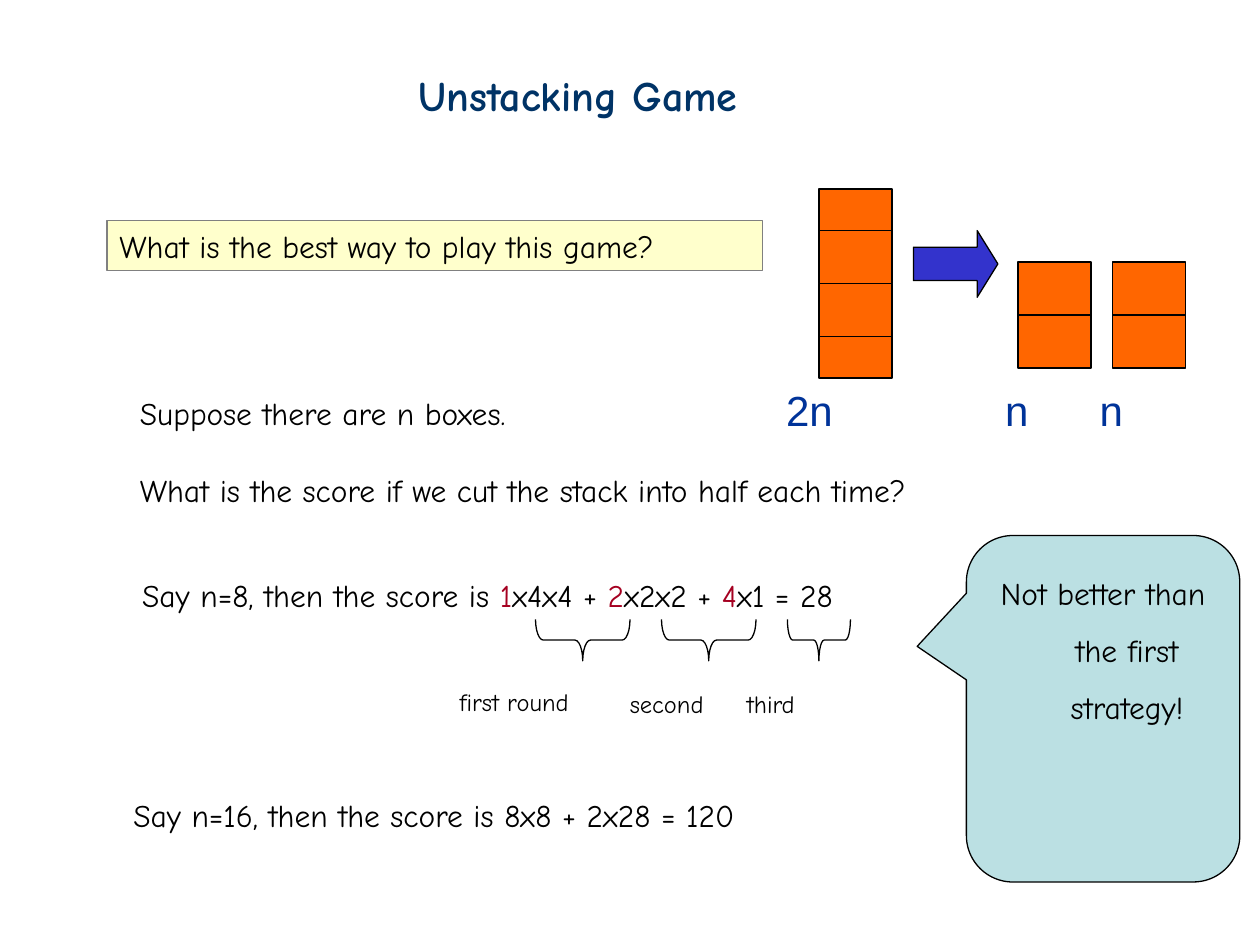
from lxml import etree
from pptx import Presentation
from pptx.dml.color import RGBColor
from pptx.enum import shapes, text
from pptx.util import Inches, Pt

COMIC, ARIAL = "Comic Neue", "Arial"
BLACK, RED, BLUE, ORANGE = "000000", "A50021", "003399", "FF6600"

TITLE = "Unstacking Game"
ASK = "What is the best way to play this game?"
BODY = ["Suppose there are n boxes.",
        "What is the score if we cut the stack into half each time?"]
SCORE = [("Say n=8, then the score is ", BLACK), ("1", RED), ("x4x4 + ", BLACK),
         ("2", RED), ("x2x2 + ", BLACK), ("4", RED), ("x1 = 28", BLACK)]
LAST = "Say n=16, then the score is 8x8 + 2x28 = 120"
NOTE = "Not better than the first strategy!"
SIZES = [("2n", 6.14, 3, 1.32, 0.5), ("n", 7.88, 3, 1.13, 0.5),
         ("n", 8.63, 3, 1.13, 0.5)]
ROUNDS = [("first round", 3.55, 5.4, 1.82, 0.34),
          ("second", 4.9, 5.42, 1.54, 0.34),
          ("third", 5.83, 5.42, 1.33, 0.34)]
BRACES = [(4.25, 0.75), (5.25, 0.75), (6.25, 0.5)]
STACKS = [(6.5, [2.58, 1.5, 1.83, 2.25]), (8.08, [2.08, 2.5]),
          (8.83, [2.08, 2.5])]
WIDE, HIGH = 0.58, 0.42
DEEP, MID = 0.33, 5.08

deck = Presentation()
deck.slide_width, deck.slide_height = Inches(10), Inches(7.5)
slide = deck.slides.add_slide(deck.slide_layouts[1])


def tint(code):
    return RGBColor.from_string(code)


def place(item, left, top, width, height):
    item.left, item.top = Inches(left), Inches(top)
    item.width, item.height = Inches(width), Inches(height)


def write(item, lines, size=18, font=COMIC, color=BLACK, bold=False,
          align=text.PP_ALIGN.LEFT, space=1.0, gap=0):
    frame = item.text_frame
    frame.word_wrap = True
    frame.auto_size = text.MSO_AUTO_SIZE.NONE
    frame.vertical_anchor = text.MSO_ANCHOR.TOP
    for i, line in enumerate([lines] if isinstance(lines, str) else lines):
        para = frame.add_paragraph() if i else frame.paragraphs[0]
        para.alignment, para.line_spacing = align, space
        para.space_before = Pt(gap if i else 0)
        props = para._p.get_or_add_pPr()
        props.set("marL", str(Inches(0.38)))
        props.set("indent", str(-Inches(0.38)))
        etree.SubElement(props, props.tag.replace("pPr", "buNone"))
        for words, hue in [(line, color)] if isinstance(line, str) else line:
            run = para.add_run()
            run.text = words
            run.font.name, run.font.size = font, Pt(size)
            run.font.bold, run.font.color.rgb = bold, tint(hue)


def label(lines, *spot, **form):
    box = slide.shapes.add_textbox(*map(Inches, spot))
    write(box, lines, **form)


def draw(kind, *spot, fill=None, line=BLACK, adjust=()):
    item = slide.shapes.add_shape(kind, *map(Inches, spot))
    item.shadow.inherit = False
    if fill:
        item.fill.solid()
        item.fill.fore_color.rgb = tint(fill)
    else:
        item.fill.background()
    item.line.color.rgb, item.line.width = tint(line), Pt(0.75)
    for i, value in enumerate(adjust):
        item.adjustments[i] = value
    return item


SHAPE = shapes.MSO_SHAPE

title, body = slide.placeholders
place(title, 3.22, 0.5, 3.49, 0.5)
write(title, TITLE, size=24, color="003366", bold=True)
place(body, 1.01, 3.08, 7.05, 1)
write(body, BODY, gap=22)

note = draw(SHAPE.ROUNDED_RECTANGULAR_CALLOUT, 7.67, 4.25, 2.17, 2.75,
            fill="BBE0E3", adjust=(-0.68, -0.18, 0.17))
write(note, NOTE, align=text.PP_ALIGN.CENTER, space=1.5)

for left, tops in STACKS:
    for top in tops:
        draw(SHAPE.RECTANGLE, left, top, WIDE, HIGH, fill=ORANGE)
draw(SHAPE.RIGHT_ARROW, 7.25, 1.83, 0.67, 0.53, fill="3333CC",
     adjust=(0.5, 0.31))
for words, *spot in SIZES:
    label(words, *spot, size=24, font=ARIAL, color=BLUE)

ask = draw(SHAPE.RECTANGLE, 0.85, 1.75, 5.2, 0.4, fill="FFFFCC", line="808080")
write(ask, ASK)

label([SCORE], 1.03, 4.52, 6.44, 0.4)
for left, span in BRACES:
    brace = draw(SHAPE.LEFT_BRACE, left + (span - DEEP) / 2, MID - span / 2,
                 DEEP, span, adjust=(span / 4, 0.5))
    brace.rotation = 270
for words, *spot in ROUNDS:
    label(words, *spot, size=14)
label(LAST, 0.96, 6.27, 5.73, 0.4)

deck.save("out.pptx")
